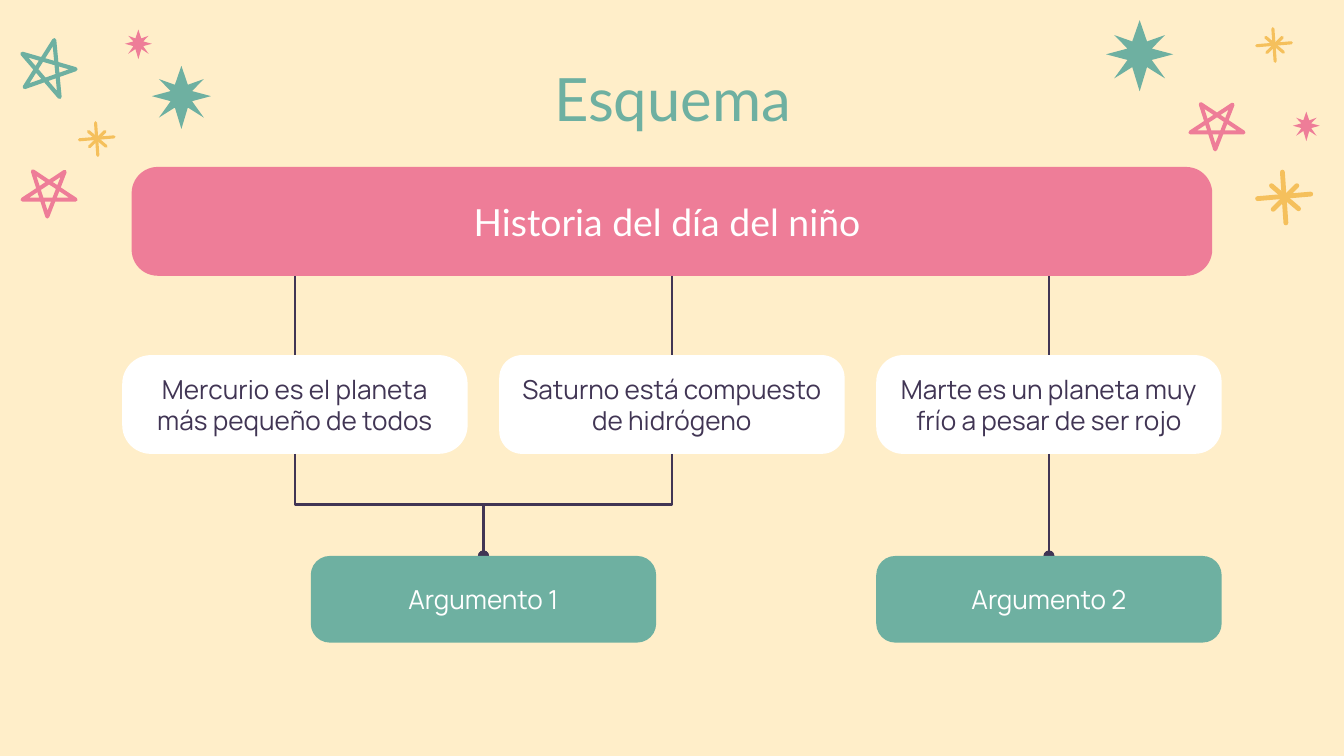
import dataclasses

import lxml.etree
import pptx
import pptx.dml.color
import pptx.enum.shapes
import pptx.enum.text
import pptx.oxml.ns
import pptx.util

# The slide is a grid of 100 columns by 56.25 rows of square cells.
CELL = pptx.util.Inches(0.1)
COLUMNS, ROWS = 100, 56.25


@dataclasses.dataclass(frozen=True)
class Theme:
    cream: str = "FFEEC9"
    teal: str = "6EB0A1"
    pink: str = "EE7D98"
    gold: str = "F5C05C"
    ink: str = "413554"
    white: str = "FFFFFF"
    heading_font: str = "Lato"
    body_font: str = "Manrope"
    title_size: int = 32
    banner_size: int = 20
    body_size: int = 14
    line_width: float = 1.5


@dataclasses.dataclass(frozen=True)
class Box:
    x: float
    y: float
    w: float
    h: float

    @property
    def center(self):
        return self.x + self.w / 2

    @property
    def bottom(self):
        return self.y + self.h

    def inner(self, x, y, w, h):
        """Box whose offset is counted from this one."""
        return Box(self.x + x, self.y + y, w, h)

    def emu(self):
        return [round(v * CELL) for v in (self.x, self.y, self.w, self.h)]


THEME = Theme()

# Outlines as shares of their box.
BURST_RIGHT = [(0.5, 0), (0.61, 0.3), (0.88, 0.21), (0.68, 0.4),
               (1, 0.48), (0.68, 0.56), (0.88, 0.82), (0.61, 0.66)]
BURST = BURST_RIGHT + [(0.5, 1)] + [(1 - x, y) for x, y in BURST_RIGHT[:0:-1]]
PENTAGRAM = [(0.22, 0.04), (0.47, 0.95), (0.77, 0.05), (0.04, 0.61), (0.96, 0.61)]
TILTED_PENTAGRAM = [(0.6, 0.04), (0.1, 0.8), (0.96, 0.51), (0.06, 0.26), (0.69, 0.96)]
SPARKLE = [[(0.47, 0.05), (0.53, 0.95)], [(0.04, 0.52), (0.96, 0.44)],
           [(0.28, 0.29), (0.75, 0.7)], [(0.72, 0.29), (0.31, 0.71)]]


def rgb(color):
    return pptx.dml.color.RGBColor.from_string(color)


def add_text(tf, text, font, size, color):
    tf.word_wrap = True
    tf.margin_left = tf.margin_right = tf.margin_top = tf.margin_bottom = CELL
    p = tf.paragraphs[0]
    p.alignment = pptx.enum.text.PP_ALIGN.CENTER
    r = p.add_run()
    r.text = text
    r.font.name = font
    r.font.size = pptx.util.Pt(size)
    r.font.color.rgb = rgb(color)
    return p


def add_card(s, box, text, fill, color, radius, font=THEME.body_font, size=THEME.body_size):
    sp = s.shapes.add_shape(pptx.enum.shapes.MSO_SHAPE.ROUNDED_RECTANGLE, *box.emu())
    sp.adjustments[0] = radius
    sp.shadow.inherit = False
    sp.fill.solid()
    sp.fill.fore_color.rgb = rgb(fill)
    sp.line.fill.background()
    sp.text_frame.vertical_anchor = pptx.enum.text.MSO_ANCHOR.MIDDLE
    add_text(sp.text_frame, text, font, size, color)


def add_outline(s, box, contours, color, closed=True, stroke=None):
    """Filled outline, or an unfilled one when a stroke width in points is given."""
    x, y, w, h = box.emu()
    builder = None
    for contour in contours:
        points = [(round(x + px * w), round(y + py * h)) for px, py in contour]
        if builder is None:
            builder = s.shapes.build_freeform(*points[0])
        else:
            builder.move_to(*points[0])
        builder.add_line_segments(points[1:], close=closed)
    sp = builder.convert_to_shape()
    sp.shadow.inherit = False
    if stroke is None:
        sp.fill.solid()
        sp.fill.fore_color.rgb = rgb(color)
        sp.line.fill.background()
    else:
        sp.fill.background()
        sp.line.color.rgb = rgb(color)
        sp.line.width = pptx.util.Pt(stroke)
        ln = sp.line._get_or_add_ln()
        ln.set("cap", "rnd")
        lxml.etree.SubElement(ln, pptx.oxml.ns.qn("a:round"))


def add_burst(s, box, color):
    add_outline(s, box, [BURST], color)


def add_pentagram(s, box, color, points=PENTAGRAM):
    add_outline(s, box, [points], color, stroke=round(box.w / 2, 2))


def add_sparkle(s, box):
    add_outline(s, box, SPARKLE, THEME.gold, closed=False, stroke=round(box.w * 0.6, 2))


def add_link(s, x1, y1, x2, y2, dot=False):
    """Link going down; it bends halfway when its ends are not aligned."""
    kinds = pptx.enum.shapes.MSO_CONNECTOR
    kind, rotation, ends = kinds.STRAIGHT, 0, (x1, y1, x2, y2)
    if x1 != x2:
        # An elbow starts sideways, so it is laid flat and turned to start downwards.
        side = 1 if x2 > x1 else -1
        cx, cy = (x1 + x2) / 2, (y1 + y2) / 2
        dx, dy = abs(x2 - x1) / 2, side * (y2 - y1) / 2
        kind, rotation = kinds.ELBOW, 180 + 90 * side
        ends = (cx + dy, cy - dx, cx - dy, cy + dx)
    link = s.shapes.add_connector(kind, *(round(v * CELL) for v in ends))
    link.rotation = rotation
    link.line.color.rgb = rgb(THEME.ink)
    link.line.width = pptx.util.Pt(THEME.line_width)
    if dot:
        ln = link.line._get_or_add_ln()
        lxml.etree.SubElement(ln, pptx.oxml.ns.qn("a:tailEnd"), type="oval")
    lxml.etree.SubElement(link._element.spPr, pptx.oxml.ns.qn("a:effectLst"))


def left_stars(s, box):
    add_pentagram(s, box.inner(0, 0.6, 4.4, 4.6), THEME.teal, TILTED_PENTAGRAM)
    add_burst(s, box.inner(7.9, 0, 2, 2.2), THEME.pink)
    add_sparkle(s, box.inner(4.4, 6.8, 2.8, 2.7))
    add_pentagram(s, box.inner(0.1, 10.4, 4.3, 3.7), THEME.pink)
    add_burst(s, box.inner(9.9, 2.7, 4.4, 4.7), THEME.teal)


def right_stars(s, box):
    add_sparkle(s, box.inner(11.1, 0.5, 2.8, 2.7))
    add_pentagram(s, box.inner(6.1, 6.1, 4.3, 3.7), THEME.pink)
    add_burst(s, box.inner(0, 0, 5, 5.3), THEME.teal)
    add_burst(s, box.inner(13.9, 6.8, 2, 2.2), THEME.pink)
    add_sparkle(s, box.inner(11.1, 11.1, 4.3, 4.2))


def title(s, box):
    tf = s.shapes.add_textbox(*box.emu()).text_frame
    p = add_text(tf, "Esquema", THEME.heading_font, THEME.title_size, THEME.teal)
    p.line_spacing = 0.9


def diagram(s, box):
    """Banner, three facts in equal columns, and the two arguments they lead to."""
    card_w, fact_h, argument_h = 25.7, 7.35, 6.45
    pitch = (box.w - card_w) / 2
    banner = box.inner(0.7, 0, box.w - 1.4, 8.1)
    facts = [box.inner(i * pitch, 14, card_w, fact_h) for i in range(3)]
    arguments = [box.inner(i * pitch, 28.95, card_w, argument_h) for i in (0.5, 2)]

    add_card(s, banner, "Historia del día del niño ", THEME.pink, THEME.white, 0.24,
             THEME.heading_font, THEME.banner_size)
    texts = ["Mercurio es el planeta más pequeño de todos",
             "Saturno está compuesto de hidrógeno",
             "Marte es un planeta muy frío a pesar de ser rojo"]
    for fact, text, radius in zip(facts, texts, (0.29, 0.23, 0.27)):
        add_card(s, fact, text, THEME.white, THEME.ink, radius)
        add_link(s, fact.center, banner.bottom, fact.center, fact.y)
    for fact, argument in zip(facts, (arguments[0], arguments[0], arguments[1])):
        add_link(s, fact.center, fact.bottom, argument.center, argument.y, dot=True)
    for number, argument in enumerate(arguments, 1):
        add_card(s, argument, f"Argumento {number}", THEME.teal, THEME.white, 0.22)


def main():
    prs = pptx.Presentation()
    prs.slide_width, prs.slide_height = round(COLUMNS * CELL), round(ROWS * CELL)
    s = prs.slides.add_slide(prs.slide_layouts[6])
    s.background.fill.solid()
    s.background.fill.fore_color.rgb = rgb(THEME.cream)
    right_stars(s, Box(82.3, 1.5, 15.9, 15.3))
    left_stars(s, Box(1.4, 2.2, 14.3, 14.1))
    title(s, Box(7.9, 4.2, 84.3, 5.3))
    diagram(s, Box(9.1, 12.42, 81.8, 35.4))
    prs.save("out.pptx")


if __name__ == "__main__":
    main()
